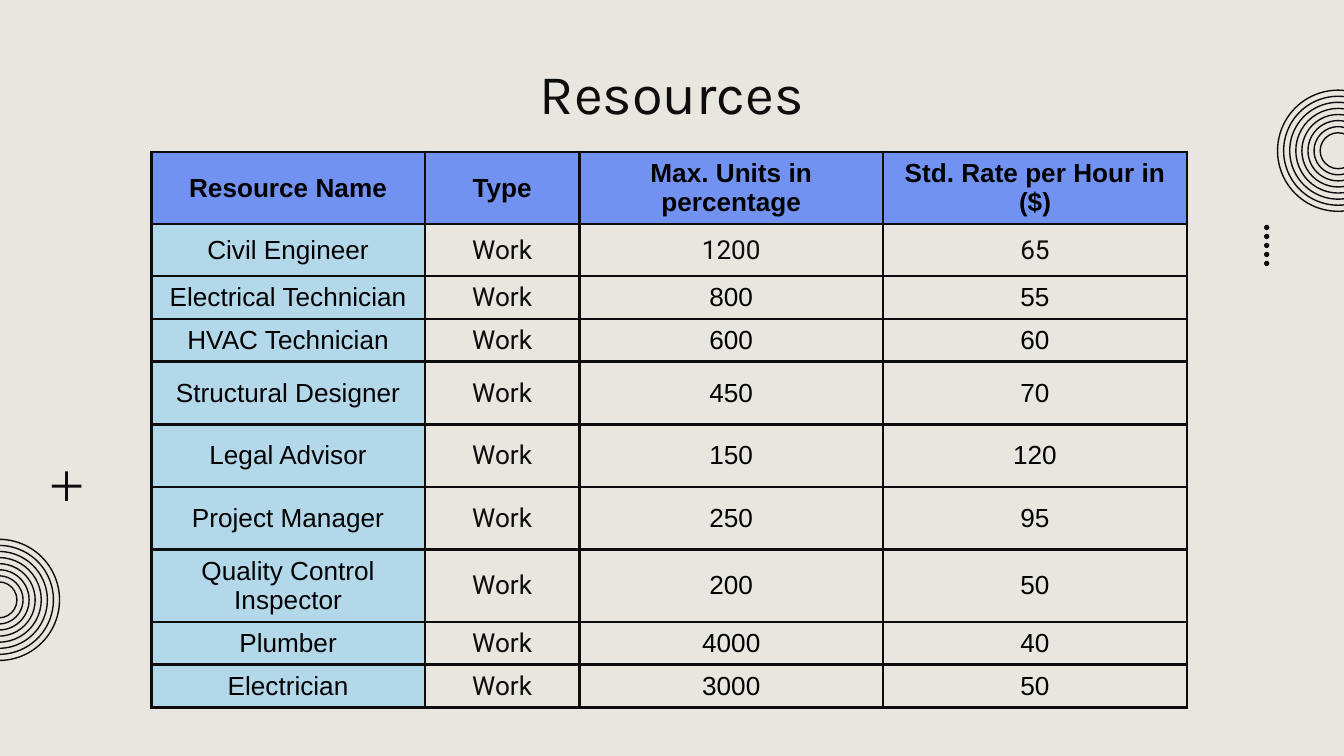
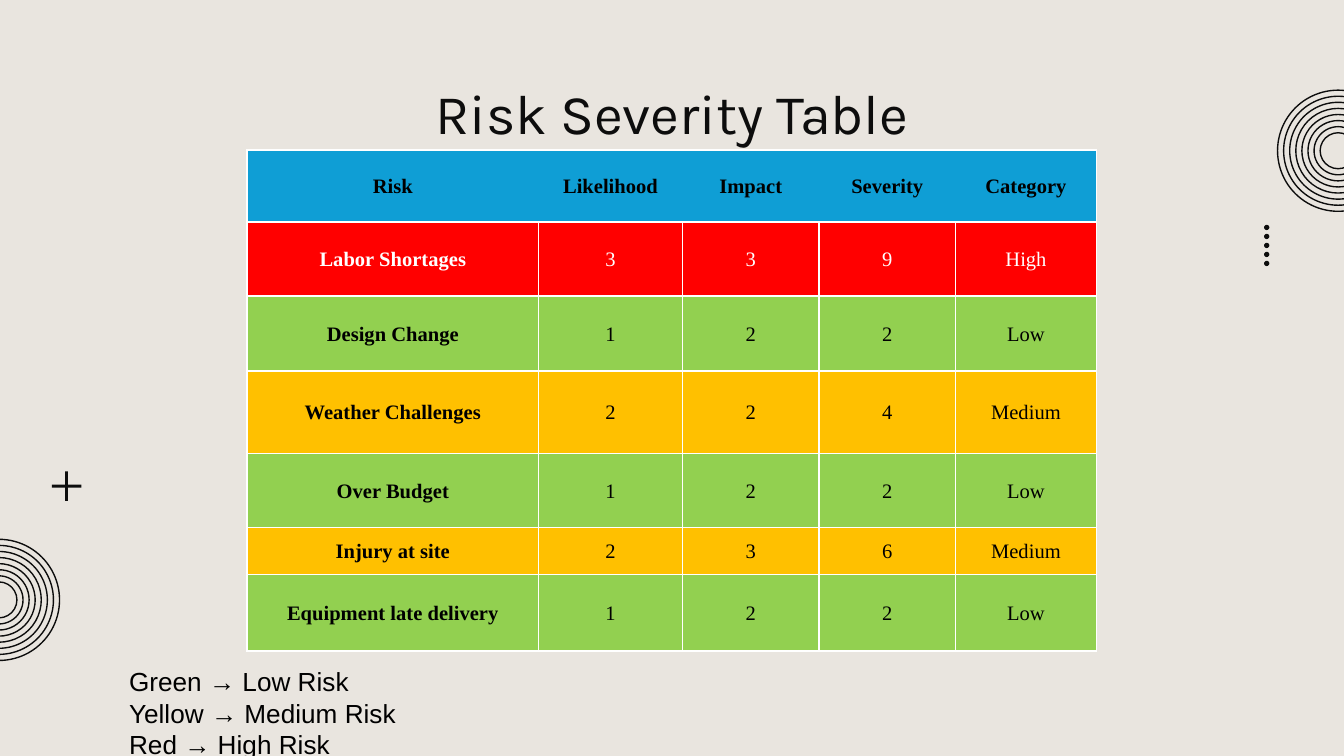
"""Build the resource and risk severity slides of a construction project deck."""
import dataclasses
import typing

import pptx
import pptx.dml.color
import pptx.enum.shapes
import pptx.enum.text
import pptx.oxml.ns
import pptx.shapes.autoshape
import pptx.slide
import pptx.table
import pptx.text.text
import pptx.util
from lxml import etree

Cm = pptx.util.Cm
Pt = pptx.util.Pt
MSO_SHAPE = pptx.enum.shapes.MSO_SHAPE
PP_ALIGN = pptx.enum.text.PP_ALIGN
MSO_ANCHOR = pptx.enum.text.MSO_ANCHOR
MSO_AUTO_SIZE = pptx.enum.text.MSO_AUTO_SIZE


@dataclasses.dataclass(frozen=True)
class Theme:
    """Colours, fonts and type sizes of the deck."""

    paper: str = "E9E5DF"
    ink: str = "0D0D0D"
    black: str = "000000"
    white: str = "FFFFFF"
    resource_header: str = "7292F2"
    resource_name: str = "B3D8EA"
    risk_header: str = "0F9ED5"
    high: str = "FF0000"
    medium: str = "FFC000"
    low: str = "92D050"
    title_font: str = "Karla"
    body_font: str = "Arial"
    work_font: str = "Roboto"
    risk_font: str = "Times New Roman"
    title_size: float = 30
    body_size: float = 14
    risk_size: float = 11


THEME = Theme()


@dataclasses.dataclass(frozen=True)
class TextStyle:
    """Font of one piece of text."""

    name: str
    size: float
    color: str = THEME.black
    bold: bool = False


@dataclasses.dataclass(frozen=True)
class CellStyle:
    """Text, fill and spacing of one table cell."""

    text: TextStyle
    fill: str | None = None
    margins: tuple[float, float] = (0.25, 0.09)
    line_spacing: float | None = None
    edges: str = "LRTB"


@dataclasses.dataclass(frozen=True)
class Grid:
    """Place, tracks, border and words of a table, in centimetres."""

    left: float
    top: float
    columns: list[float]
    rows: list[float]
    border: tuple[str, float]
    words: list[tuple[str, ...]]
    style: typing.Callable[[int, int], CellStyle]


class Rings(typing.NamedTuple):
    """Centre of a set of concentric circles, in centimetres."""

    x: float
    y: float


RINGS = [Rings(25.29, 2.85), Rings(-0.02, 11.34)]
RING_COUNT, RING_SIZE, RING_STEP = 8, 2.29, 0.23
DOT_COUNT, DOT_SIZE, DOT_STEP = 5, 0.1, 0.17

RESOURCES = [
    ("Resource Name", "Type", "Max. Units in percentage", "Std. Rate per Hour in ($)"),
    ("Civil Engineer", "Work", "1200", "65"),
    ("Electrical Technician", "Work", "800", "55"),
    ("HVAC Technician", "Work", "600", "60"),
    ("Structural Designer", "Work", "450", "70"),
    ("Legal Advisor", "Work", "150", "120"),
    ("Project Manager", "Work", "250", "95"),
    ("Quality Control Inspector", "Work", "200", "50"),
    ("Plumber", "Work", "4000", "40"),
    ("Electrician", "Work", "3000", "50"),
]
RISKS = [
    ("Risk", "Likelihood", "Impact", "Severity", "Category"),
    ("Labor Shortages", "3", "3", "9", "High"),
    ("Design Change", "1", "2", "2", "Low"),
    ("Weather Challenges", "2", "2", "4", "Medium"),
    ("Over Budget", "1", "2", "2", "Low"),
    ("Injury at site", "2", "3", "6", "Medium"),
    ("Equipment late delivery", "1", "2", "2", "Low"),
]
LEGEND = ["Green → Low Risk", "Yellow → Medium Risk", "Red → High Risk"]
RISK_FILLS = {
    "Category": THEME.risk_header,
    "High": THEME.high,
    "Medium": THEME.medium,
    "Low": THEME.low,
}


def rgb(color: str) -> pptx.dml.color.RGBColor:
    """Turn a hex string into a colour."""
    return pptx.dml.color.RGBColor.from_string(color)


def apply(target: object, values: dict[str, typing.Any]) -> None:
    """Set each format value on the target."""
    for key, value in values.items():
        setattr(target, key, value)


def write(paragraph: pptx.text.text._Paragraph, words: str, style: TextStyle) -> None:
    """Add styled words to a paragraph."""
    font = paragraph.add_run().font
    paragraph.runs[0].text = words
    apply(font, {"name": style.name, "size": Pt(style.size), "bold": style.bold})
    font.color.rgb = rgb(style.color)


def add_mark(
    shapes: typing.Any, kind: MSO_SHAPE, left: float, top: float, size: float, solid: bool = True
) -> pptx.shapes.autoshape.Shape:
    """Draw a square mark that is either filled or outlined in ink."""
    mark = shapes.add_shape(kind, Cm(left), Cm(top), Cm(size), Cm(size))
    mark.shadow.inherit = False
    if solid:
        mark.fill.solid()
        mark.fill.fore_color.rgb = rgb(THEME.ink)
        mark.line.fill.background()
    else:
        mark.fill.background()
        mark.line.color.rgb = rgb(THEME.ink)
        mark.line.width = Pt(0.75)
    return mark


def add_decor(slide: pptx.slide.Slide) -> None:
    """Draw the dots, rings and plus that every slide carries."""
    dots = slide.shapes.add_group_shape().shapes
    for index in range(DOT_COUNT):
        add_mark(dots, MSO_SHAPE.OVAL, 23.89, 4.25 + index * DOT_STEP, DOT_SIZE)
    for center in RINGS:
        circles = slide.shapes.add_group_shape().shapes
        for index in range(RING_COUNT):
            size = RING_SIZE - index * RING_STEP
            add_mark(circles, MSO_SHAPE.OVAL, center.x - size / 2, center.y - size / 2, size, False)
    plus = add_mark(slide.shapes, MSO_SHAPE.MATH_PLUS, 0.88, 8.81, 0.76)
    plus.adjustments[0] = 0.07


def add_title(slide: pptx.slide.Slide, words: str, top: float) -> None:
    """Write the centred slide title."""
    frame = slide.shapes.add_textbox(Cm(1.98), Cm(top), Cm(21.44), Cm(1.6)).text_frame
    sides = ("left", "right", "top", "bottom")
    apply(frame, {"word_wrap": True} | {f"margin_{side}": Cm(0.25) for side in sides})
    frame.paragraphs[0].alignment = PP_ALIGN.CENTER
    write(frame.paragraphs[0], words, TextStyle(THEME.title_font, THEME.title_size, THEME.ink))


def set_borders(cell: pptx.table._Cell, border: tuple[str, float], edges: str) -> None:
    """Draw the named edges of a cell and clear the others."""
    color, width = border
    properties = cell._tc.get_or_add_tcPr()
    qn = pptx.oxml.ns.qn
    for edge in "LRTB":
        line = etree.SubElement(properties, qn(f"a:ln{edge}"), w=str(Pt(width)))
        if edge in edges:
            paint = etree.SubElement(line, qn("a:solidFill"))
            etree.SubElement(paint, qn("a:srgbClr"), val=color)
        else:
            etree.SubElement(line, qn("a:noFill"))


def fill_cell(cell: pptx.table._Cell, words: str, style: CellStyle, border: tuple[str, float]) -> None:
    """Write and format one cell."""
    side, end = map(Cm, style.margins)
    apply(cell, {
        "vertical_anchor": MSO_ANCHOR.MIDDLE,
        "margin_left": side,
        "margin_right": side,
        "margin_top": end,
        "margin_bottom": end,
    })
    set_borders(cell, border, style.edges)
    if style.fill:
        cell.fill.solid()
        cell.fill.fore_color.rgb = rgb(style.fill)
    else:
        cell.fill.background()
    paragraph = cell.text_frame.paragraphs[0]
    apply(paragraph, {"alignment": PP_ALIGN.CENTER, "line_spacing": style.line_spacing})
    write(paragraph, words, style.text)


def add_grid(slide: pptx.slide.Slide, grid: Grid) -> None:
    """Draw a table from its grid."""
    table = slide.shapes.add_table(
        len(grid.rows), len(grid.columns), Cm(grid.left), Cm(grid.top),
        Cm(sum(grid.columns)), Cm(sum(grid.rows)),
    ).table
    for column, width in zip(table.columns, grid.columns):
        column.width = Cm(width)
    for row, height in zip(table.rows, grid.rows):
        row.height = Cm(height)
    for r, line in enumerate(grid.words):
        for c, words in enumerate(line):
            fill_cell(table.cell(r, c), words, grid.style(r, c), grid.border)


def resource_style(row: int, column: int) -> CellStyle:
    """Choose the style of a resource cell."""
    body = TextStyle(THEME.body_font, THEME.body_size, bold=row == 0)
    if row == 0:
        return CellStyle(body, THEME.resource_header)
    if column == 0:
        return CellStyle(body, THEME.resource_name)
    if row == 1 or column == 1:
        work = TextStyle(THEME.work_font, THEME.body_size, THEME.ink)
        return CellStyle(work, margins=(0, 0))
    return CellStyle(body)


def risk_style(row: int, column: int) -> CellStyle:
    """Choose the style of a risk cell from its category."""
    category = RISKS[row][-1]
    color = THEME.white if category == "High" else THEME.black
    text = TextStyle(THEME.risk_font, THEME.risk_size, color, row == 0 or column == 0)
    edges = "LRTB"
    if row == 0:
        edges = {0: "LTB", len(RISKS[0]) - 1: "RTB"}.get(column, "TB")
    return CellStyle(text, RISK_FILLS[category], (0.18, 0), 1.07, edges)


def add_legend(slide: pptx.slide.Slide) -> None:
    """Explain the risk colours below the table."""
    frame = slide.shapes.add_textbox(Cm(2.19), Cm(12.46), Cm(5.61), Cm(2.06)).text_frame
    apply(frame, {"word_wrap": False, "auto_size": MSO_AUTO_SIZE.SHAPE_TO_FIT_TEXT})
    for index, words in enumerate(LEGEND):
        paragraph = frame.add_paragraph() if index else frame.paragraphs[0]
        write(paragraph, words, TextStyle(THEME.body_font, THEME.body_size))


def add_page(deck: typing.Any, title: str, title_top: float, grid: Grid) -> pptx.slide.Slide:
    """Add a slide with the shared decor, a title and a table."""
    slide = deck.slides.add_slide(deck.slide_layouts[6])
    add_decor(slide)
    add_title(slide, title, title_top)
    add_grid(slide, grid)
    return slide


def main() -> None:
    """Build and save the deck."""
    deck = pptx.Presentation()
    apply(deck, {"slide_width": Cm(25.4), "slide_height": Cm(14.29)})
    backdrop = deck.slide_master.background.fill
    backdrop.solid()
    backdrop.fore_color.rgb = rgb(THEME.paper)
    resources = Grid(
        2.86, 2.87, [5.17, 2.92, 5.74, 5.74],
        [1.35, 0.98, 0.81, 0.81, 1.19, 1.18, 1.18, 1.36, 0.81, 0.81],
        (THEME.ink, 1.5), RESOURCES, resource_style,
    )
    risks = Grid(
        4.67, 2.83, [5.51, 2.72, 2.58, 2.58, 2.66],
        [1.37, 1.4, 1.41, 1.56, 1.4, 0.89, 1.45],
        (THEME.white, 1), RISKS, risk_style,
    )
    add_page(deck, "Resources", 0.86, resources)
    add_legend(add_page(deck, "Risk Severity Table", 1.24, risks))
    deck.save("out.pptx")


if __name__ == "__main__":
    main()
